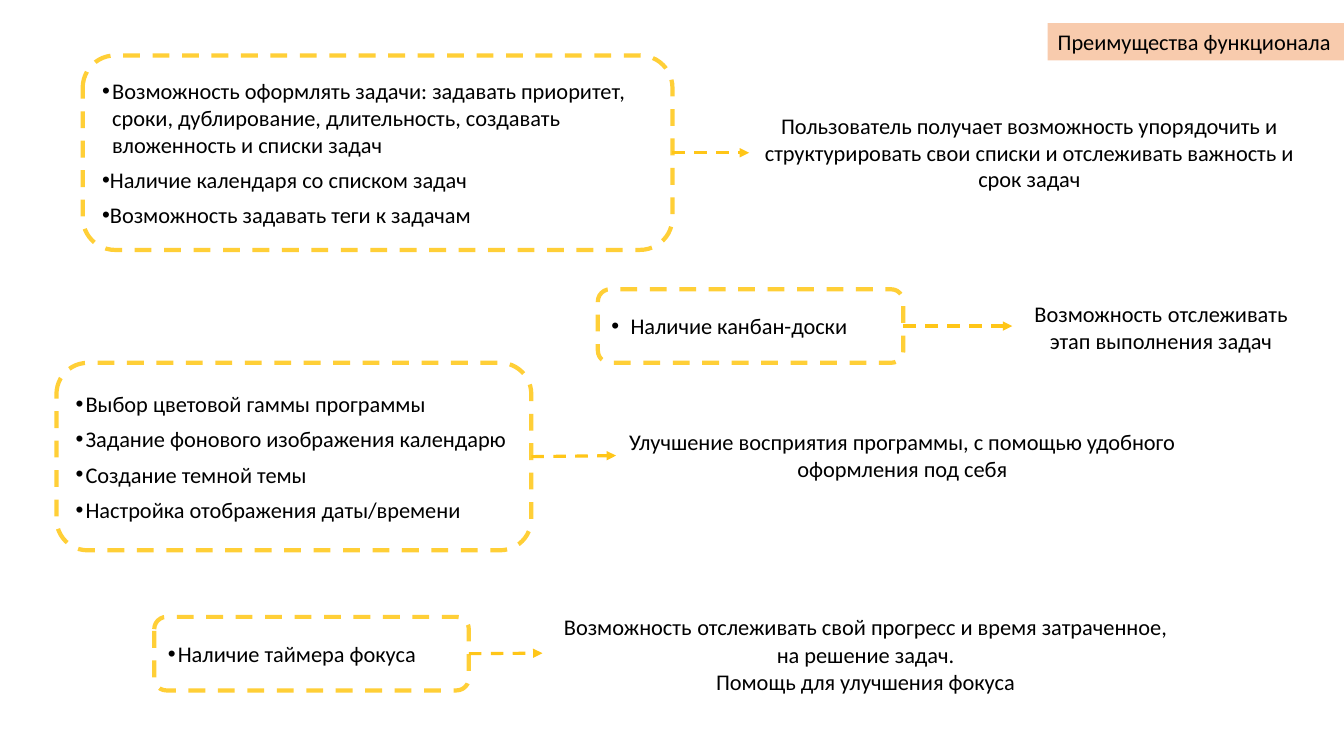
from dataclasses import dataclass

from lxml.etree import SubElement
from pptx import Presentation
from pptx.dml.color import RGBColor
from pptx.enum.dml import MSO_LINE_DASH_STYLE as Dash
from pptx.enum.shapes import MSO_CONNECTOR as Connector, MSO_SHAPE as Shape
from pptx.enum.text import MSO_ANCHOR as Anchor, MSO_AUTO_SIZE as AutoSize, PP_ALIGN as Align
from pptx.oxml.ns import qn
from pptx.util import Inches, Pt


@dataclass(frozen=True)
class Theme:
    font: str = "Calibri"
    text: RGBColor = RGBColor.from_string("000000")
    paper: RGBColor = RGBColor.from_string("FFFFFF")
    border: RGBColor = RGBColor.from_string("FFCF37")
    arrow: RGBColor = RGBColor.from_string("FFC618")
    tag: RGBColor = RGBColor.from_string("F8CBAD")
    body_size: int = 16
    wide_space_size: int = 18
    border_width: float = 3
    arrow_width: float = 2.25
    bullet_gap: int = 6


class SlideBuilder:
    RIGHT_SITE, LEFT_SITE = 3, 1

    def __init__(self, slide, theme):
        self.slide, self.theme = slide, theme

    def run(self, paragraph, text, size=None):
        run = paragraph.add_run()
        run.text = text
        run.font.name = self.theme.font
        run.font.size = Pt(size or self.theme.body_size)
        run.font.color.rgb = self.theme.text

    def line_break(self, paragraph):
        paragraph.add_line_break()
        SubElement(paragraph._p[-1], qn("a:rPr"), sz=str(self.theme.body_size * 100))

    def dash(self, line, color, width):
        line.color.rgb = color
        line.width = Pt(width)
        line.dash_style = Dash.DASH

    def title(self, text, place):
        tag = self.slide.shapes.title
        tag.left, tag.top, tag.width, tag.height = map(Inches, place)
        tag.fill.solid()
        tag.fill.fore_color.rgb = self.theme.tag
        frame = tag.text_frame
        frame.word_wrap = True
        frame.auto_size = AutoSize.NONE
        frame.vertical_anchor = Anchor.TOP
        frame.paragraphs[0].alignment = Align.LEFT
        self.run(frame.paragraphs[0], text)

    def feature_box(self, place, features):
        """Features are (text, hanging indent in inches) pairs."""
        box = self.slide.shapes.add_shape(Shape.ROUNDED_RECTANGLE, *map(Inches, place))
        box.shadow.inherit = False
        box.fill.solid()
        box.fill.fore_color.rgb = self.theme.paper
        self.dash(box.line, self.theme.border, self.theme.border_width)
        frame = box.text_frame
        frame.word_wrap = True
        frame.vertical_anchor = Anchor.MIDDLE
        for number, (text, indent) in enumerate(features):
            paragraph = frame.add_paragraph() if number else frame.paragraphs[0]
            paragraph.alignment = Align.LEFT
            if number < len(features) - 1:
                paragraph.space_after = Pt(self.theme.bullet_gap)
            properties = paragraph._p.get_or_add_pPr()
            properties.set("marL", str(Inches(indent)))
            properties.set("indent", str(-Inches(indent)))
            SubElement(properties, qn("a:buFont"), typeface="Arial")
            SubElement(properties, qn("a:buChar"), char="•")
            self.run(paragraph, text)
        return box

    def benefit(self, place, lines):
        """Each line is a list of (text, size) runs."""
        note = self.slide.shapes.add_textbox(*map(Inches, place))
        frame = note.text_frame
        frame.word_wrap = True
        frame.auto_size = AutoSize.SHAPE_TO_FIT_TEXT
        paragraph = frame.paragraphs[0]
        paragraph.alignment = Align.CENTER
        for number, runs in enumerate(lines):
            if number:
                self.line_break(paragraph)
            for text, size in runs:
                self.run(paragraph, text, size)
        return note

    def arrow(self, feature, benefit):
        link = self.slide.shapes.add_connector(Connector.STRAIGHT, 0, 0, 0, 0)
        link.begin_connect(feature, self.RIGHT_SITE)
        link.end_connect(benefit, self.LEFT_SITE)
        self.dash(link.line, self.theme.arrow, self.theme.arrow_width)
        SubElement(link.line._get_or_add_ln(), qn("a:tailEnd"), type="triangle")
        SubElement(link._element.spPr, qn("a:effectLst"))


def main():
    deck = Presentation()
    deck.slide_width, deck.slide_height = Inches(13.33), Inches(7.5)
    theme = Theme()
    builder = SlideBuilder(deck.slides.add_slide(deck.slide_layouts[5]), theme)

    # Features with the benefit each group gives
    hang, wide_hang = 0.1, 0.19
    opening = [("Возможность", None), (" ", theme.wide_space_size)]
    groups = [
        ((0.82, 0.55, 5.85, 1.93),
         [("Возможность оформлять задачи: задавать приоритет, сроки, дублирование, "
           "длительность, создавать вложенность и списки задач", hang),
          ("Наличие календаря со списком задач", 0),
          ("Возможность задавать теги к задачам", 0)],
         (7.43, 1.06, 5.56, 0.91),
         [[("Пользователь получает возможность упорядочить и структурировать свои "
            "списки и отслеживать важность и срок задач", None)]]),
        ((5.93, 2.87, 3.03, 0.73),
         [("Наличие канбан-доски", wide_hang)],
         (10.04, 2.9, 2.95, 0.67),
         [opening + [("отслеживать этап выполнения задач", None)]]),
        ((0.56, 3.6, 4.71, 1.86),
         [("Выбор цветовой гаммы программы", hang),
          ("Задание фонового изображения календарю", hang),
          ("Создание темной темы", hang),
          ("Настройка отображения даты/времени", hang)],
         (6.11, 4.2, 5.68, 0.64),
         [[("Улучшение восприятия программы, с помощью удобного оформления под себя", None)]]),
        ((1.53, 6.12, 3.12, 0.73),
         [("Наличие таймера фокуса", hang)],
         (5.38, 6.01, 6.41, 0.94),
         [opening + [("отслеживать свой прогресс и время затраченное, на решение задач.", None)],
          [("Помощь для улучшения фокуса", None)]]),
    ]
    for box_place, features, benefit_place, lines in groups:
        feature = builder.feature_box(box_place, features)
        builder.arrow(feature, builder.benefit(benefit_place, lines))

    # Title tag in the corner
    builder.title("Преимущества функционала", (10.39, 0.23, 2.95, 0.37))

    deck.save("out.pptx")


if __name__ == "__main__":
    main()
